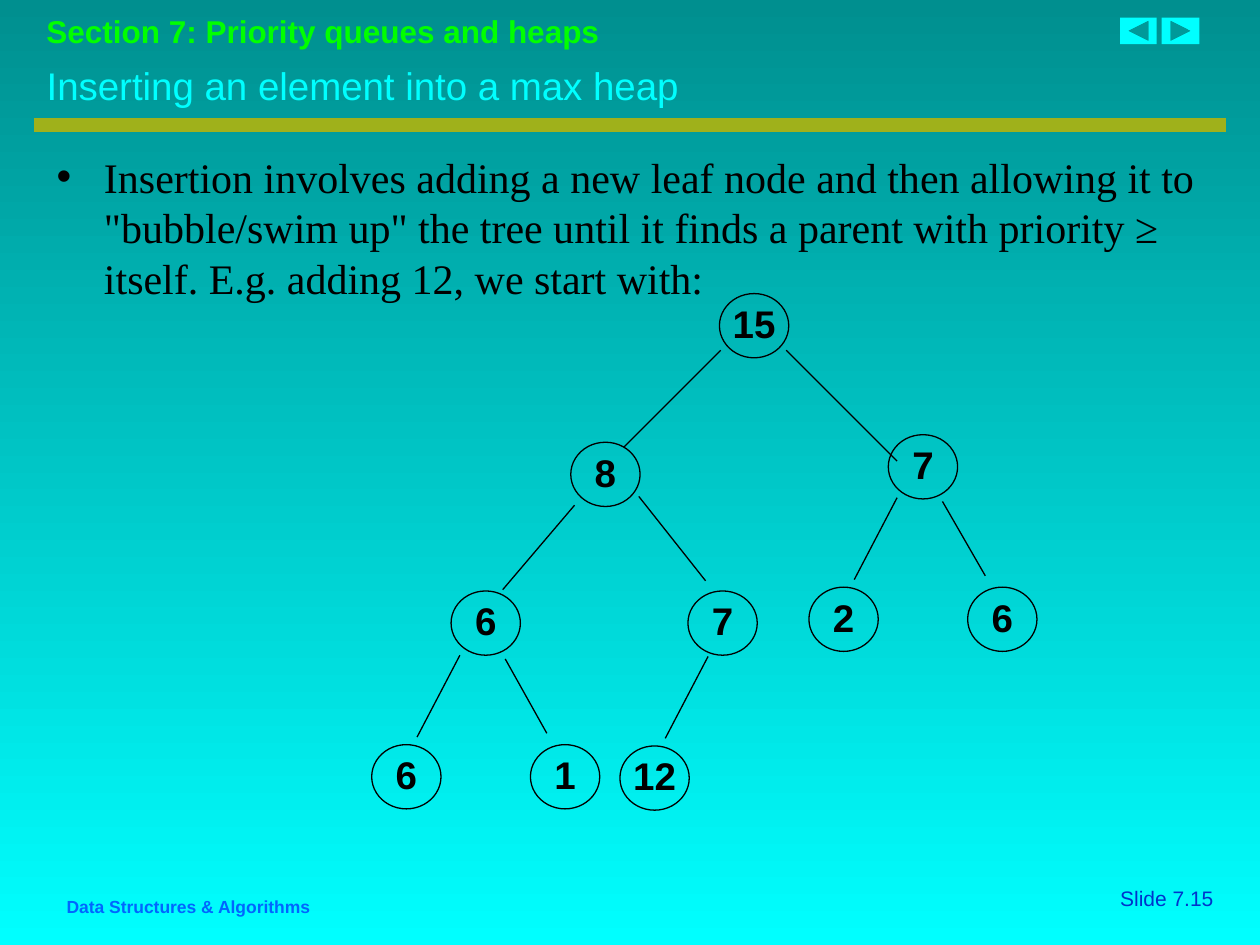
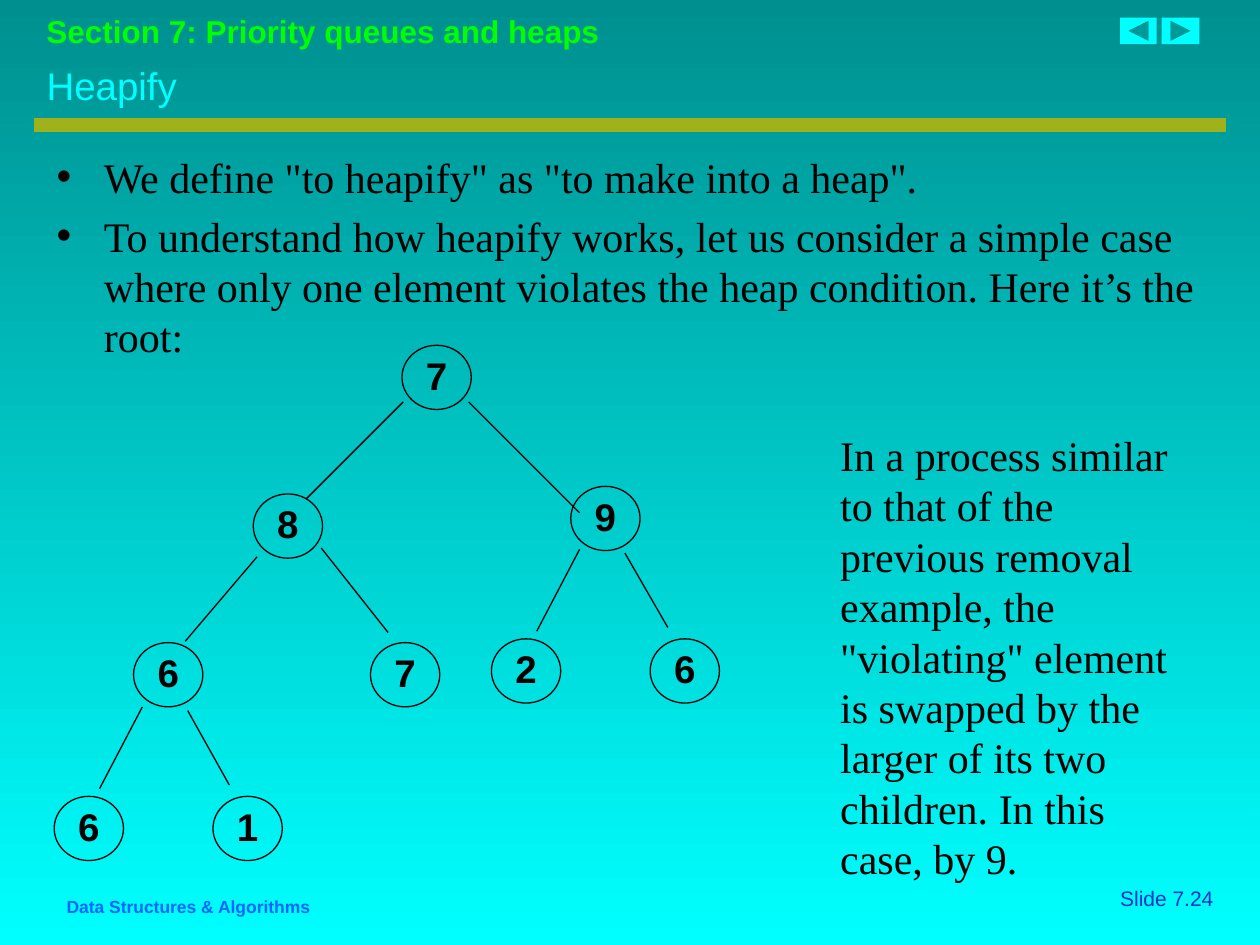
"""Build two lecture slides about inserting into a max heap and heapifying it."""
import pptx
import pptx.dml.color
import pptx.enum.shapes
import pptx.enum.text
import pptx.util
from lxml import etree
from pptx.oxml.ns import qn

COLOURS = {
    "sky_top": "008F8F", "sky_bottom": "00FFFF", "rule": "9FB11B",
    "section": "00FF00", "heading": "00FFFF", "course": "0066FF",
    "page": "0033CC", "ink": "000000",
}
RGB = {part: pptx.dml.color.RGBColor.from_string(code) for part, code in COLOURS.items()}
SHAPES = pptx.enum.shapes.MSO_SHAPE
STRAIGHT = pptx.enum.shapes.MSO_CONNECTOR.STRAIGHT
ALIGN = pptx.enum.text.PP_ALIGN
ANCHOR = pptx.enum.text.MSO_ANCHOR

deck = pptx.Presentation()
deck.slide_width, deck.slide_height = pptx.util.Inches(10), pptx.util.Inches(7.5)
COL, ROW = deck.slide_width / 100, deck.slide_height / 75


def grid(*cells):
    """Turn alternating column and row counts into slide lengths."""
    return [round(cell * (ROW if i % 2 else COL)) for i, cell in enumerate(cells)]


def write(holder, *paragraphs, font="Arial", size=22, colour="ink", bold=False,
          align=ALIGN.LEFT, anchor=ANCHOR.TOP, wrap=True, hang=0, gap=0):
    """Fill a shape with paragraphs in one format."""
    frame = holder.text_frame
    frame.word_wrap = wrap
    frame.auto_size = pptx.enum.text.MSO_AUTO_SIZE.NONE
    frame.vertical_anchor = anchor
    for i, words in enumerate(paragraphs):
        line = frame.add_paragraph() if i else frame.paragraphs[0]
        line.alignment = align
        line.space_before = pptx.util.Pt(gap if i else 0)
        if hang:
            indent = round(hang * COL)
            line._p.get_or_add_pPr().set("marL", str(indent))
            line._p.get_or_add_pPr().set("indent", str(-indent))
        run = line.add_run()
        run.text = words
        run.font.name, run.font.size = font, pptx.util.Pt(size)
        run.font.bold, run.font.color.rgb = bold, RGB[colour]


sky = deck.slide_master.background.fill
sky.gradient()
sky.gradient_angle = 270
for stop, part in zip(sky.gradient_stops, ("sky_top", "sky_bottom")):
    stop.color.rgb = RGB[part]

NODE_SIZE = (5.5, 5.1)
NODE_OFFSETS = [
    (0, 0), (-11.8, 11.8), (13.4, 11.2),
    (-21.3, 23.6), (-2.5, 23.6), (7.1, 23.3), (19.7, 23.3),
    (-27.6, 35.8), (-15, 35.8), (-7.9, 35.9),
]
BRANCHES = [
    (0.1, 4.5, -7.6, 12.2), (5.3, 4.5, 14.1, 13.3),
    (-11.5, 16.8, -17.2, 23.5), (-6.4, 16.1, -1.1, 22.8),
    (14.1, 16.2, 10.7, 22.7), (17.7, 16.5, 21.1, 22.4),
    (-20.6, 28.7, -24, 35.2), (-17, 29, -13.7, 34.9),
    (-0.9, 28.8, -4.3, 35.3),
]
LESSONS = [
    {
        "page": "Slide 7.15",
        "heading": "Inserting an element into a max heap",
        "points": ['Insertion involves adding a new leaf node and then allowing it to '
                   '"bubble/swim up" the tree until it finds a parent with priority ≥ '
                   'itself. E.g. adding 12, we start with:'],
        "points_rows": 59.1,
        "root": (57.1, 23.3),
        "heap": [15, 8, 7, 6, 7, 2, 6, 6, 1, 12],
    },
    {
        "page": "Slide 7.24",
        "heading": "Heapify",
        "points": ['We define "to heapify" as "to make into a heap".',
                   'To understand how heapify works, let us consider a simple case where '
                   'only one element violates the heap condition. Here it’s the root:'],
        "points_rows": 54.3,
        "root": (31.9, 27.4),
        "heap": [7, 8, 9, 6, 7, 2, 6, 6, 1],
        "aside": 'In a process similar to that of the previous removal example, the '
                 '"violating" element is swapped by the larger of its two children. '
                 'In this case, by 9.',
    },
]

for lesson in LESSONS:
    slide = deck.slides.add_slide(deck.slide_layouts[1])
    heading, points = slide.placeholders
    root_x, root_y = lesson["root"]

    lines = [(2.7, 9.9, 97.3, 9.9, "rule", 8)]
    for x1, y1, x2, y2 in BRANCHES[:len(lesson["heap"]) - 1]:
        lines.append((root_x + x1, root_y + y1, root_x + x2, root_y + y2, "ink", 0.75))
    for *ends, colour, weight in lines:
        stroke = slide.shapes.add_connector(STRAIGHT, *grid(*ends))
        stroke.line.color.rgb = RGB[colour]
        stroke.line.width = pptx.util.Pt(weight)
        etree.SubElement(stroke._element.spPr, qn("a:effectLst"))

    for kind, left, width in ((SHAPES.ACTION_BUTTON_FORWARD_OR_NEXT, 92.2, 3),
                              (SHAPES.ACTION_BUTTON_BACK_OR_PREVIOUS, 88.9, 2.9)):
        button = slide.shapes.add_shape(kind, *grid(left, 1.4, width, 2.1))
        button.shadow.inherit = False
        button.fill.solid()
        button.fill.fore_color.rgb = RGB["heading"]
        button.line.fill.background()

    page = slide.shapes.add_textbox(*grid(81.5, 69.8, 15.8, 3))
    write(page, lesson["page"], size=12, colour="page", align=ALIGN.RIGHT)
    section = slide.shapes.add_textbox(*grid(2.7, 0.5, 94.5, 4))
    write(section, "Section 7: Priority queues and heaps", size=18, colour="section", bold=True)
    course = slide.shapes.add_textbox(*grid(4.3, 70.6, 30.7, 2.7))
    write(course, "Data Structures & Algorithms", size=10, colour="course", bold=True)

    heading.left, heading.top, heading.width, heading.height = grid(2.7, 4.4, 92.1, 4.7)
    write(heading, lesson["heading"], colour="heading", anchor=ANCHOR.MIDDLE)
    points.left, points.top, points.width, points.height = grid(
        3.5, 11.5, 93.7, lesson["points_rows"])
    write(points, *lesson["points"], font="Times New Roman", size=24, hang=3.75, gap=4.8)

    for priority, (x, y) in zip(lesson["heap"], NODE_OFFSETS):
        node = slide.shapes.add_shape(SHAPES.OVAL, *grid(root_x + x, root_y + y, *NODE_SIZE))
        node.shadow.inherit = False
        node.fill.background()
        node.line.color.rgb = RGB["ink"]
        node.line.width = pptx.util.Pt(0.75)
        inside = node.text_frame
        inside.margin_left = inside.margin_right = inside.margin_top = 0
        inside.margin_bottom = round(0.4 * ROW)
        write(node, str(priority), bold=True, align=ALIGN.CENTER, anchor=ANCHOR.MIDDLE, wrap=False)

    if "aside" in lesson:
        aside = slide.shapes.add_textbox(*grid(65.7, 33.6, 29.1, 36.9))
        write(aside, lesson["aside"], font="Times New Roman", size=24)

deck.save("out.pptx")
